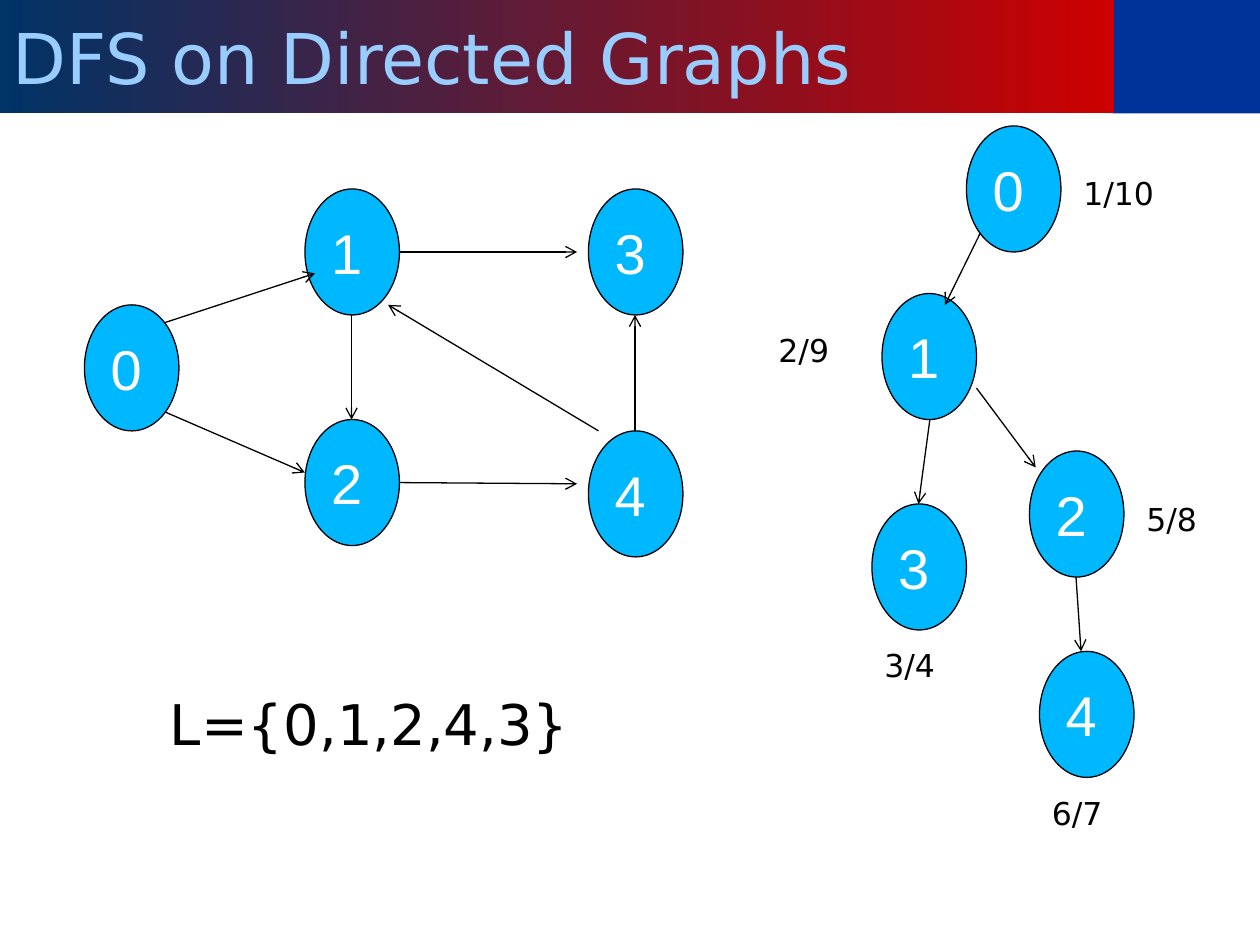
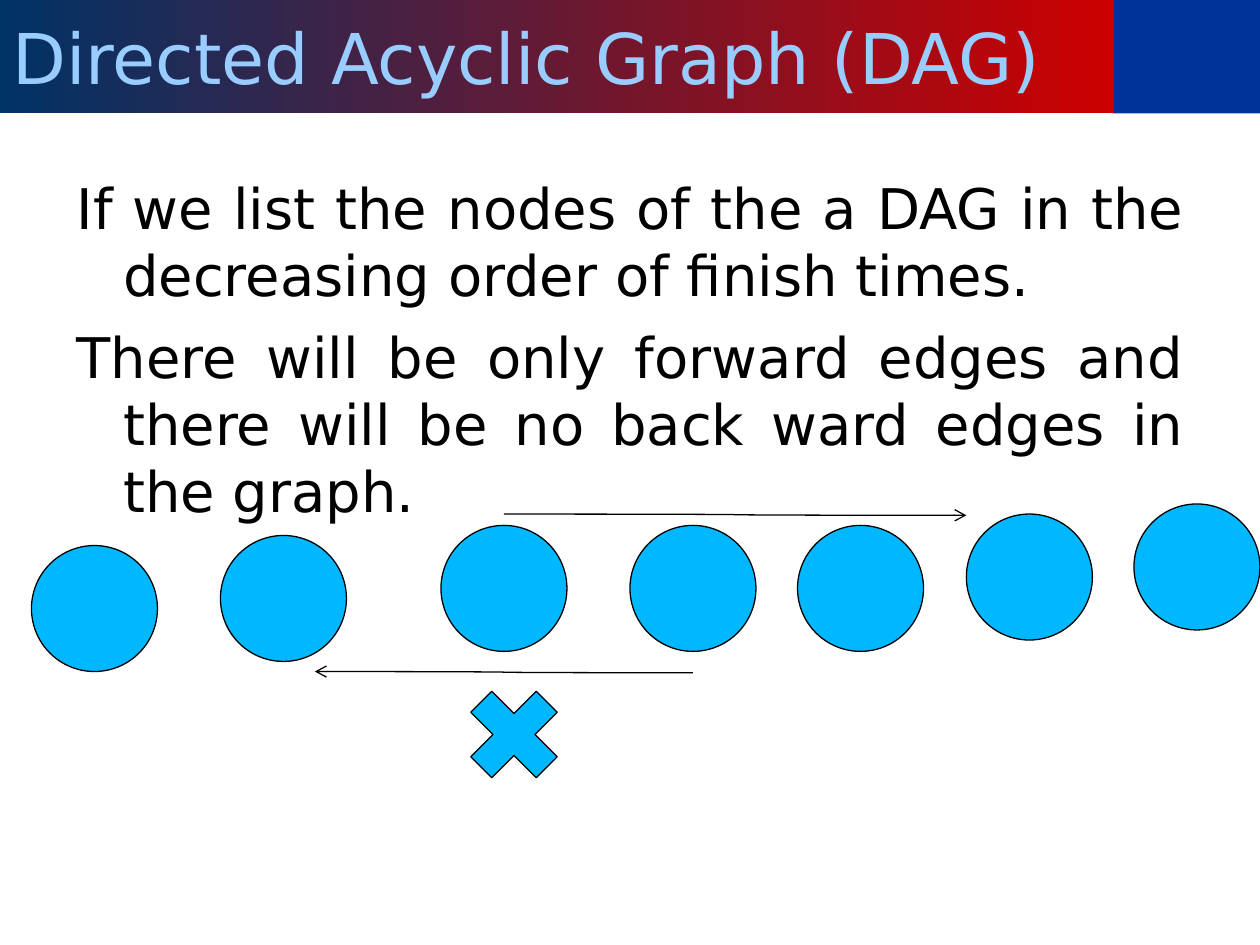
from pptx import Presentation
from pptx.dml.color import RGBColor
from pptx.enum.shapes import MSO_CONNECTOR, MSO_SHAPE
from pptx.enum.text import MSO_ANCHOR, PP_ALIGN
from pptx.oxml.ns import qn
from pptx.util import Inches, Pt
from lxml.etree import SubElement

COLORS = {
    "band": "003399", "title_left": "003366", "title_right": "CC0000",
    "title": "99CCFF", "node": "00B8FF", "label": "FFFFFF", "ink": "000000",
}
COLORS = {name: RGBColor.from_string(value) for name, value in COLORS.items()}
FORMATS = {
    "title": ({"name": "DejaVu Sans", "size": Pt(40)}, "title"),
    "node": ({"name": "Arial", "size": Pt(32)}, "label"),
    "body": ({"name": "DejaVu Sans", "size": Pt(32)}, "ink"),
    "time": ({"name": "DejaVu Sans", "size": Pt(18)}, "ink"),
}


def write(para, text, style):
    span = para.add_run()
    span.text = text
    values, color = FORMATS[style]
    for name, value in values.items():
        setattr(span.font, name, value)
    span.font.color.rgb = COLORS[color]


def add_arrow(page, kind, *ends):
    arrow = page.shapes.add_connector(kind, *[Inches(end) for end in ends])
    arrow.line.color.rgb = COLORS["ink"]
    arrow.line.width = Pt(0.75)
    SubElement(arrow.line._get_or_add_ln(), qn("a:tailEnd"), type="arrow")
    SubElement(arrow._element.spPr, qn("a:effectLst"))


deck = Presentation()
deck.slide_width, deck.slide_height = Inches(10), Inches(7.5)

# Pages with the shared title band
pages = []
for title in ("DFS on Directed Graphs", "Directed Acyclic Graph (DAG)"):
    page = deck.slides.add_slide(deck.slide_layouts[6])
    pages.append(page)
    for left, width in ((8.83, 1.17), (0, 8.84)):
        band = page.shapes.add_shape(MSO_SHAPE.RECTANGLE, Inches(left), 0, Inches(width), Inches(0.9))
        band.shadow.inherit = False
        band.line.fill.background()
        if left:
            band.fill.solid()
            band.fill.fore_color.rgb = COLORS["band"]
    band.fill.gradient()
    band.fill.gradient_angle = 180
    for stop, name in zip(band.fill.gradient_stops, ("title_right", "title_left")):
        stop.color.rgb = COLORS[name]
    band.text_frame.vertical_anchor = MSO_ANCHOR.MIDDLE
    para = band.text_frame.paragraphs[0]
    para.alignment = PP_ALIGN.LEFT
    write(para, title, "title")
search_page, order_page = pages

# Body text of the second page
box = order_page.shapes.add_textbox(Inches(0.5), Inches(1.33), Inches(9), Inches(5.37))
box.text_frame.word_wrap = True
sentences = (
    "If we list the nodes of the a DAG in the decreasing order of finish times.",
    "There will be only forward edges and there will be no back ward edges in the graph.",
)
for number, sentence in enumerate(sentences):
    para = box.text_frame.add_paragraph() if number else box.text_frame.paragraphs[0]
    para.alignment = PP_ALIGN.JUSTIFY
    para.space_before = Pt(8 if number else 0)
    indent = para._p.get_or_add_pPr()
    indent.set("marL", str(Inches(0.38)))
    indent.set("indent", str(Inches(-0.37)))
    write(para, sentence, "body")

# Nodes: the graph, its search tree, and the row in finish order
graph_nodes = [("4", 4.67, 3.42), ("3", 4.67, 1.5), ("2", 2.42, 3.33), ("1", 2.42, 1.5), ("0", 0.67, 2.42)]
tree_nodes = [("0", 7.67, 1), ("1", 7, 2.33), ("2", 8.17, 3.58), ("3", 6.92, 4), ("4", 8.25, 5.17)]
row_nodes = [("", 0.25, 4.33), ("", 1.75, 4.25), ("", 3.5, 4.17), ("", 5, 4.17),
             ("", 6.33, 4.17), ("", 7.67, 4.08), ("", 9, 4)]
cross = [("", 3.58, 5.33)]
node_groups = (
    (search_page, MSO_SHAPE.OVAL, 0.75, graph_nodes + tree_nodes),
    (order_page, MSO_SHAPE.OVAL, 1, row_nodes),
    (order_page, MSO_SHAPE.MATH_MULTIPLY, 1, cross),
)
for page, kind, width, nodes in node_groups:
    for label, left, top in nodes:
        node = page.shapes.add_shape(kind, Inches(left), Inches(top), Inches(width), Inches(1))
        node.shadow.inherit = False
        node.fill.solid()
        node.fill.fore_color.rgb = COLORS["node"]
        node.line.color.rgb = COLORS["ink"]
        node.line.width = Pt(0.75)
        if label:
            node.text_frame.vertical_anchor = MSO_ANCHOR.MIDDLE
            para = node.text_frame.paragraphs[0]
            para.alignment = PP_ALIGN.LEFT
            write(para, label, "node")

# Edges of the graph and the tree
graph_edges = [
    (1.31, 2.56, 2.5, 2.17), (1.31, 3.27, 2.42, 3.75), (2.79, 2.5, 2.79, 3.33), (3.17, 2, 4.58, 2),
    (3.17, 3.83, 4.58, 3.84), (4.75, 3.42, 3.08, 2.42), (5.04, 3.42, 5.04, 2.5),
]
tree_edges = [(7.78, 1.85, 7.5, 2.42), (7.38, 3.33, 7.29, 4), (7.75, 3.08, 8.22, 3.71), (8.54, 4.58, 8.58, 5.17)]
for edge in graph_edges + tree_edges:
    add_arrow(search_page, MSO_CONNECTOR.STRAIGHT, *edge)

# Forward and backward edges over the row
for edge in ((4, 4.08, 7.67, 4.09), (5.5, 5.34, 2.5, 5.33)):
    add_arrow(order_page, MSO_CONNECTOR.CURVE, *edge)

# Start and finish times, and the resulting list
captions = (
    ("2/9", 6.08, 2.58, 0.64, 0.4, "time"),
    ("1/10", 8.5, 1.33, 0.8, 0.4, "time"),
    ("5/8", 9, 3.92, 0.64, 0.4, "time"),
    ("3/4", 6.92, 5.08, 0.64, 0.4, "time"),
    ("6/7", 8.25, 6.25, 0.64, 0.4, "time"),
    ("L={0,1,2,4,3}", 1.25, 5.42, 3.47, 0.64, "body"),
)
for text, left, top, width, height, style in captions:
    box = search_page.shapes.add_textbox(Inches(left), Inches(top), Inches(width), Inches(height))
    box.text_frame.word_wrap = False
    write(box.text_frame.paragraphs[0], text, style)

deck.save("out.pptx")
